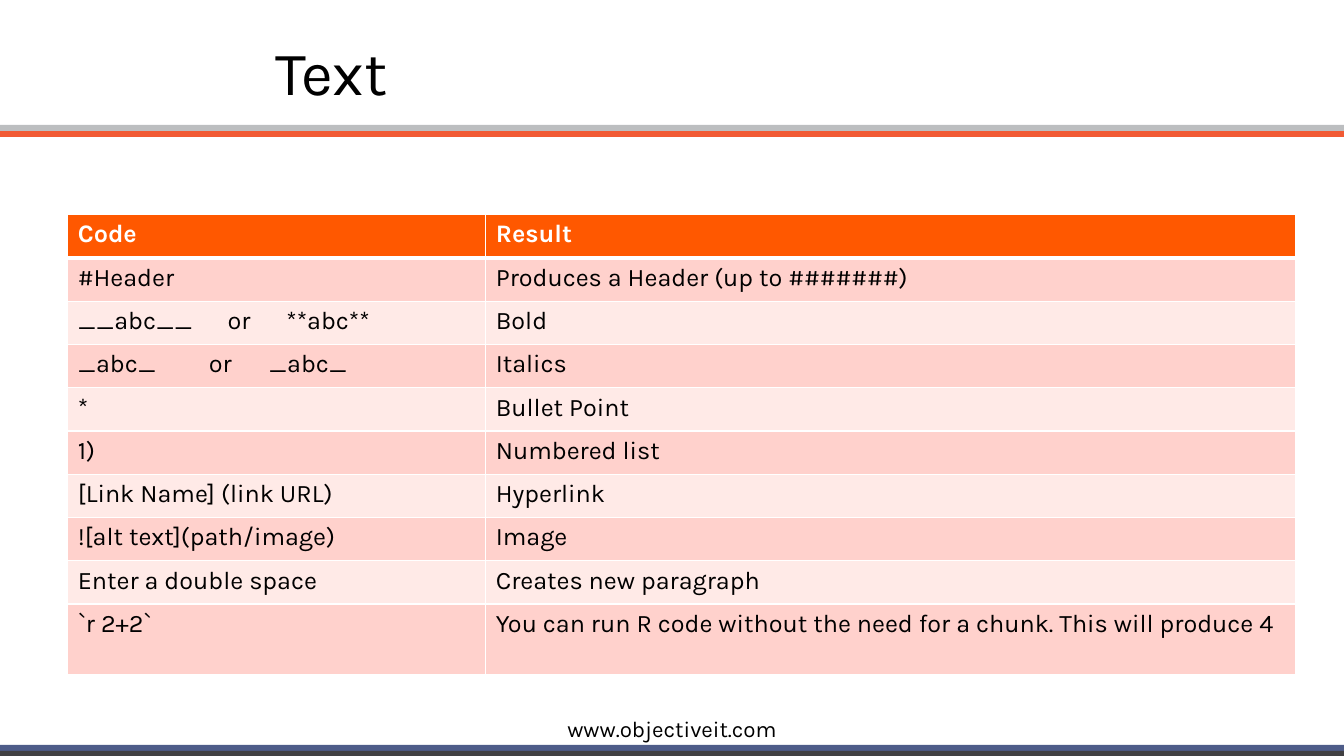
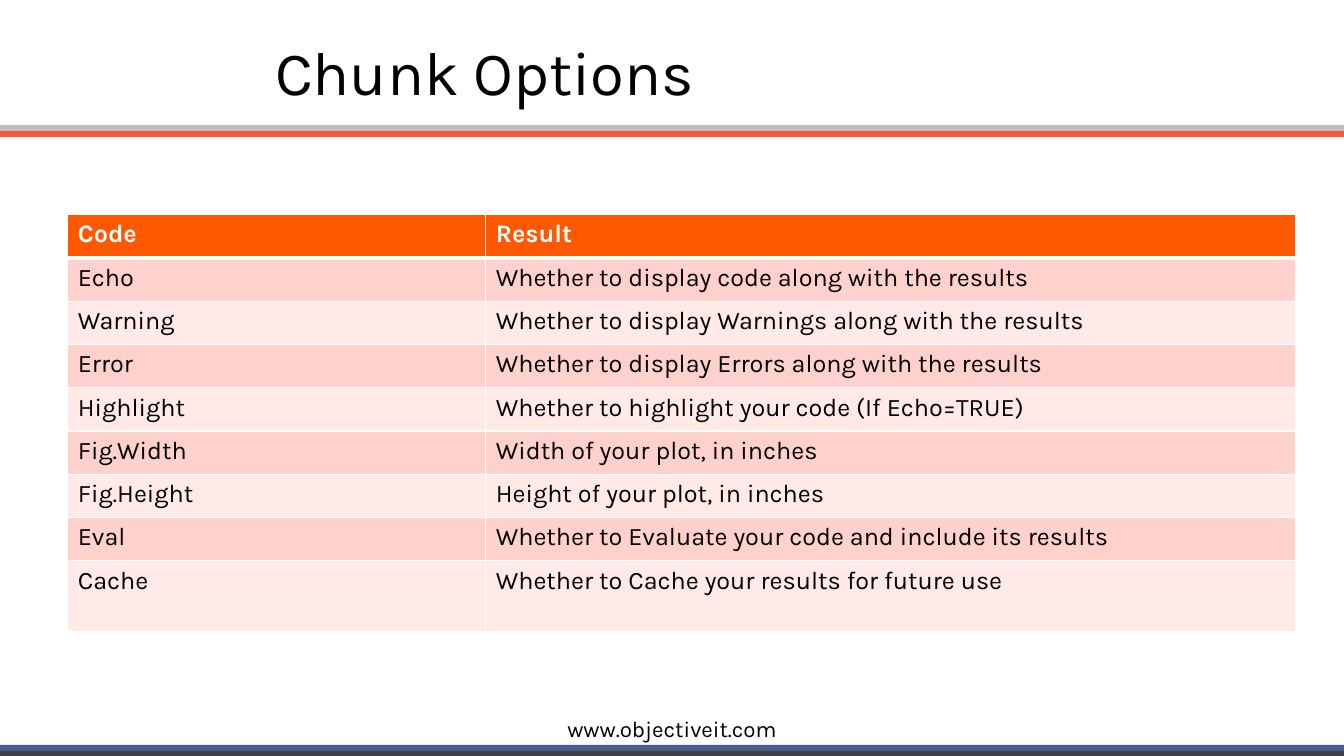
"""Builds two slides of reference tables about Markdown text and chunk options."""
from lxml import etree
from pptx import Presentation
from pptx.dml.color import RGBColor
from pptx.enum import shapes, text
from pptx.oxml import ns
from pptx.util import Pt

FONT = "Karla"
COLORS = {
    "black": "000000", "white": "FFFFFF", "silver": "BCBEC0", "orange": "F15A34",
    "blue": "4E5C89", "charcoal": "414042", "header": "FF5800",
    "odd_row": "FFD1CC", "even_row": "FFEAE7",
}
SLIDE_WIDTH, SLIDE_HEIGHT = 960, 540
BAND_HEIGHT = 4.3
BANDS = [(89.3, "silver"), (93.6, "orange"), (532.1, "blue"), (536.4, "charcoal")]
TABLE_LEFT, TABLE_TOP = 48.4, 153.4
COLUMN_WIDTHS = [298.6, 578.2]
ROW_HEIGHT, LAST_ROW_HEIGHT = 30.9, 50.4
THIN, THICK = 1, 3

TABLE_HEADER = ("Code", "Result")
SLIDES = [
    ("Text", [
        ("#Header", "Produces a Header (up to #######)"),
        ("__abc__\tor\t**abc**", "Bold"),
        ("_abc_\tor\t_abc_", "Italics"),
        ("*", "Bullet Point"),
        ("1)", "Numbered list"),
        ("[Link Name] (link URL)", "Hyperlink"),
        ("![alt text](path/image)", "Image"),
        ("Enter a double space", "Creates new paragraph"),
        ("`r 2+2`", "You can run R code without the need for a chunk. This will produce 4"),
    ]),
    ("Chunk Options", [
        ("Echo", "Whether to display code along with the results"),
        ("Warning", "Whether to display Warnings along with the results"),
        ("Error", "Whether to display Errors along with the results"),
        ("Highlight", "Whether to highlight your code (If Echo=TRUE)"),
        ("Fig.Width", "Width of your plot, in inches"),
        ("Fig.Height", "Height of your plot, in inches"),
        ("Eval", "Whether to Evaluate your code and include its results"),
        ("Cache", "Whether to Cache your results for future use"),
    ]),
]
TAB_STOPS = {"__abc__\tor\t**abc**": (107, 149), "_abc_\tor\t_abc_": (93.6, 136.5)}


def write_text(frame, content, size, color="black", bold=False, align=None,
               line_spacing=None, tab_stops=()):
    frame.word_wrap = True
    paragraph = frame.paragraphs[0]
    if tab_stops:
        properties = paragraph._p.get_or_add_pPr()
        tab_list = etree.SubElement(properties, ns.qn("a:tabLst"))
        for position in tab_stops:
            etree.SubElement(tab_list, ns.qn("a:tab"), pos=str(Pt(position)), algn="l")
    paragraph.alignment = align
    paragraph.line_spacing = line_spacing
    run = paragraph.add_run()
    run.text = content
    run.font.name = FONT
    run.font.size = Pt(size)
    run.font.bold = bold
    run.font.color.rgb = RGBColor.from_string(COLORS[color])


def add_border(cell, side, width):
    line = etree.SubElement(cell._tc.get_or_add_tcPr(), ns.qn(f"a:ln{side}"), w=str(Pt(width)))
    fill = etree.SubElement(line, ns.qn("a:solidFill"))
    etree.SubElement(fill, ns.qn("a:srgbClr"), val=COLORS["white"])


presentation = Presentation()
presentation.slide_width = Pt(SLIDE_WIDTH)
presentation.slide_height = Pt(SLIDE_HEIGHT)
blank_layout = presentation.slide_layouts[6]

for title, body_rows in SLIDES:
    slide = presentation.slides.add_slide(blank_layout)

    for top, color in BANDS:
        height = min(BAND_HEIGHT, SLIDE_HEIGHT - top)
        band = slide.shapes.add_shape(
            shapes.MSO_SHAPE.RECTANGLE, Pt(0), Pt(top), Pt(SLIDE_WIDTH), Pt(height))
        band.shadow.inherit = False
        band.fill.solid()
        band.fill.fore_color.rgb = RGBColor.from_string(COLORS[color])
        band.line.fill.background()

    footer = slide.shapes.add_textbox(Pt(0), Pt(507.6), Pt(SLIDE_WIDTH), Pt(26.6))
    write_text(footer.text_frame, "www.objectiveit.com", 16, align=text.PP_ALIGN.CENTER)

    title_box = slide.shapes.add_textbox(Pt(189.4), Pt(15.8), Pt(770.6), Pt(77))
    title_box.text_frame.vertical_anchor = text.MSO_ANCHOR.MIDDLE
    write_text(title_box.text_frame, title, 44, line_spacing=0.9)

    rows = [TABLE_HEADER, *body_rows]
    heights = [ROW_HEIGHT] * len(body_rows) + [LAST_ROW_HEIGHT]
    table = slide.shapes.add_table(
        len(rows), len(COLUMN_WIDTHS), Pt(TABLE_LEFT), Pt(TABLE_TOP),
        Pt(sum(COLUMN_WIDTHS)), Pt(sum(heights))).table
    table.horz_banding = False
    for column, width in zip(table.columns, COLUMN_WIDTHS):
        column.width = Pt(width)
    for row_index, (values, height) in enumerate(zip(rows, heights)):
        table.rows[row_index].height = Pt(height)
        is_header = row_index == 0
        row_fill = "header" if is_header else "odd_row" if row_index % 2 else "even_row"
        borders = {"L": THIN, "R": THIN,
                   "T": THICK if row_index == 1 else THIN,
                   "B": THICK if is_header else THIN}
        for column_index, value in enumerate(values):
            cell = table.cell(row_index, column_index)
            for side, width in borders.items():
                add_border(cell, side, width)
            cell.fill.solid()
            cell.fill.fore_color.rgb = RGBColor.from_string(COLORS[row_fill])
            write_text(cell.text_frame, value, 18, color="white" if is_header else "black",
                       bold=is_header, tab_stops=TAB_STOPS.get(value, ()))

presentation.save("out.pptx")
